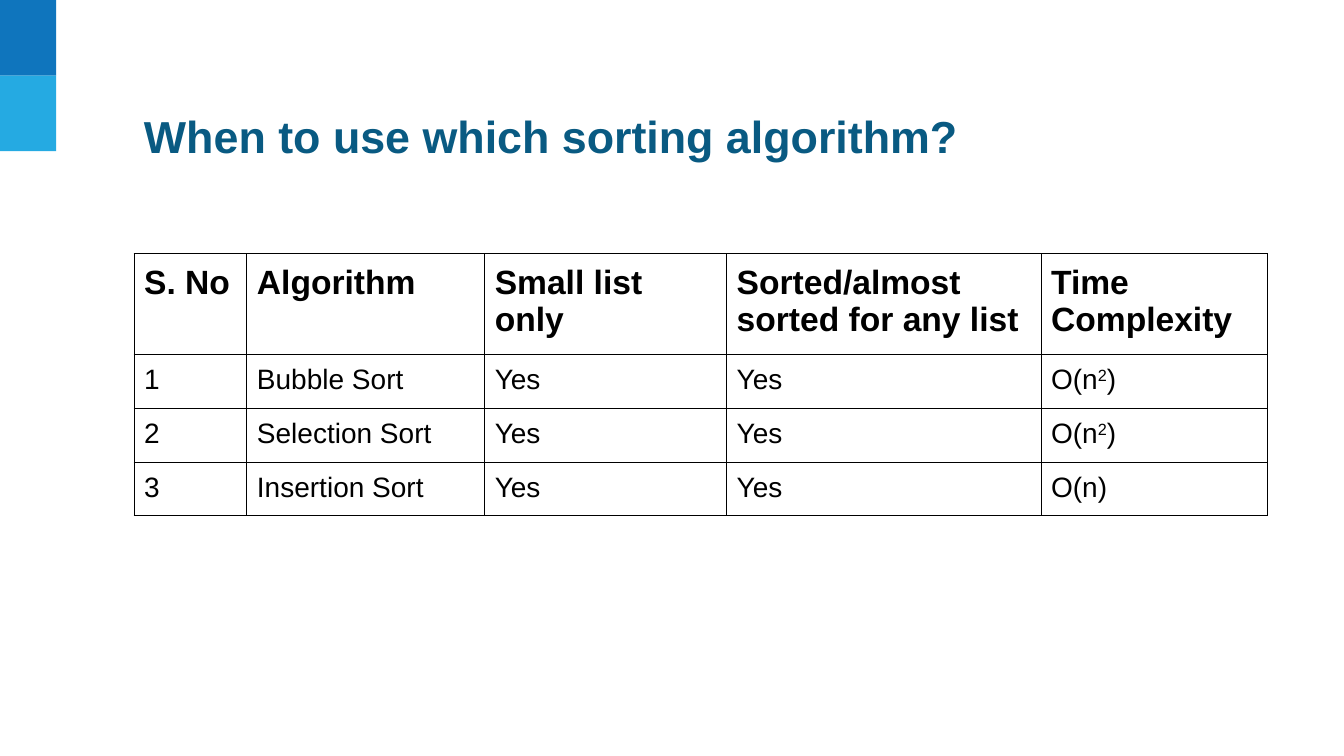
"""Build a slide that compares three sorting algorithms in a table."""
from dataclasses import dataclass

from lxml import etree
from pptx import Presentation
from pptx import util as u
from pptx.dml.color import RGBColor
from pptx.enum import shapes, text
from pptx.oxml import ns

BLACK = RGBColor(0x00, 0x00, 0x00)
NAVY = RGBColor(0x09, 0x5A, 0x82)
BLUE = RGBColor(0x0F, 0x75, 0xBD)
SKY = RGBColor(0x25, 0xAA, 0xE2)

LEFT = 95.76
WIDTHS = (80.6, 169.9, 172.8, 224.6, 162)
HEIGHTS = (68, 36.75, 36.75, 36.75)
ROWS = (
    ("S. No", "Algorithm", "Small list only",
     "Sorted/almost sorted for any list", "Time Complexity"),
    ("1", "Bubble Sort", "Yes", "Yes", "O(n|2|)"),
    ("2", "Selection Sort", "Yes", "Yes", "O(n|2|)"),
    ("3", "Insertion Sort", "Yes", "Yes", "O(n)"),
)


@dataclass(frozen=True)
class Block:
    top: float
    fill: RGBColor


@dataclass(frozen=True)
class Style:
    size: float
    bold: bool
    color: RGBColor


BLOCKS = (Block(0, BLUE), Block(54, SKY))
TITLE = Style(32, True, NAVY)
HEAD = Style(24, True, BLACK)
BODY = Style(20, False, BLACK)


def apply(item: object, values: dict) -> None:
    for name, value in values.items():
        setattr(item, name, value)


def write(para, words: str, style: Style) -> None:
    for i, part in enumerate(words.split("|")):
        run = para.add_run()
        run.text = part
        apply(run.font, {"name": "Arial", "size": u.Pt(style.size),
                         "bold": style.bold})
        run.font.color.rgb = style.color
        if i % 2:
            run._r.get_or_add_rPr().set("baseline", "30000")


def draw_block(slide, block: Block) -> None:
    shape = slide.shapes.add_shape(shapes.MSO_SHAPE.RECTANGLE, 0,
                                   u.Pt(block.top), u.Pt(40.2), u.Pt(54))
    shape.shadow.inherit = False
    shape.fill.solid()
    shape.fill.fore_color.rgb = block.fill
    shape.line.fill.background()


def draw_title(slide, words: str) -> None:
    box = slide.shapes.add_textbox(u.Pt(LEFT), u.Pt(64.8),
                                   u.Pt(831.6), u.Pt(64.8))
    apply(box.text_frame, {"word_wrap": True,
                           "vertical_anchor": text.MSO_ANCHOR.MIDDLE})
    write(box.text_frame.paragraphs[0], words, TITLE)


def frame(cell) -> None:
    props = cell._tc.get_or_add_tcPr()
    for i, side in enumerate(("lnL", "lnR", "lnT", "lnB")):
        line = etree.Element(ns.qn(f"a:{side}"), w=str(u.Pt(0.75)))
        fill = etree.SubElement(line, ns.qn("a:solidFill"))
        etree.SubElement(fill, ns.qn("a:srgbClr"), val=str(BLACK))
        props.insert(i, line)


def draw_table(slide) -> None:
    table = slide.shapes.add_table(
        len(ROWS), len(WIDTHS), u.Pt(LEFT), u.Pt(181.2),
        u.Pt(sum(WIDTHS)), u.Pt(sum(HEIGHTS))).table
    apply(table, {"first_row": False, "horz_banding": False})
    for col, width in zip(table.columns, WIDTHS):
        col.width = u.Pt(width)
    sides = ("left", "right", "top", "bottom")
    pads = {f"margin_{side}": u.Pt(7.2) for side in sides}
    for i, (row, height) in enumerate(zip(table.rows, HEIGHTS)):
        row.height = u.Pt(height)
        for cell, words in zip(row.cells, ROWS[i]):
            apply(cell, pads)
            cell.fill.background()
            frame(cell)
            write(cell.text_frame.paragraphs[0], words, BODY if i else HEAD)


def main() -> None:
    deck = Presentation()
    apply(deck, {"slide_width": u.Pt(960), "slide_height": u.Pt(540)})
    slide = deck.slides.add_slide(deck.slide_layouts[6])
    for block in BLOCKS:
        draw_block(slide, block)
    draw_title(slide, "When to use which sorting algorithm?")
    draw_table(slide)
    deck.save("out.pptx")


if __name__ == "__main__":
    main()
